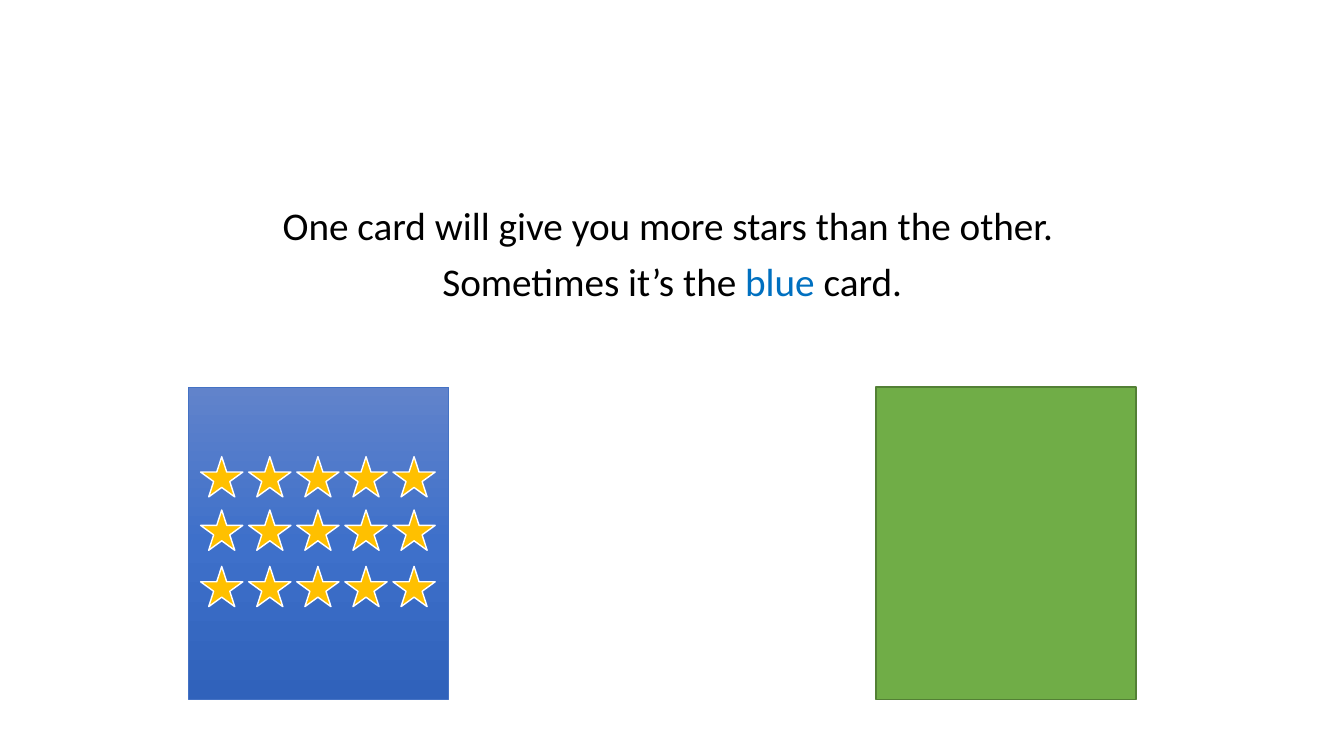
from copy import deepcopy
from itertools import product

from pptx import Presentation
from pptx.dml.color import RGBColor
from pptx.enum.shapes import MSO_SHAPE
from pptx.enum.text import PP_ALIGN
from pptx.util import Pt

COLORS = {
    "text": "000000",
    "blue word": "0070C0",
    "blue top": "6183CB",
    "blue middle": "3E70CA",
    "blue bottom": "3062BB",
    "blue edge": "4472C4",
    "green": "70AD47",
    "green edge": "538035",
    "star": "FFC000",
    "star edge": "FFFFFF",
}
SENTENCE_FORMAT = {"alignment": PP_ALIGN.CENTER, "line_spacing": 0.9}
FONT_FORMAT = {"name": "Calibri", "size": Pt(28)}

CARD_TOP, CARD_WIDTH, CARD_HEIGHT = 276.5, 185.8, 223.2
BLUE_LEFT, GREEN_LEFT = 134.6, 625.7
STAR_LEFT, STAR_PITCH, STARS_PER_ROW = 143.3, 34.35, 5
STAR_ROW_TOPS = (326.2, 364.3, 404.6)
STAR_WIDTH, STAR_HEIGHT = 30.2, 28.8


def color(name):
    return RGBColor.from_string(COLORS[name])


def apply_format(target, values):
    for attribute, value in values.items():
        setattr(target, attribute, value)


def add_sentences(slide, sentences):
    """Write one centred paragraph per list of (words, color name) pairs."""
    box = slide.shapes.add_textbox(Pt(66.2), Pt(144), Pt(828), Pt(342.7))
    frame = box.text_frame
    frame.word_wrap = True
    for index, sentence in enumerate(sentences):
        paragraph = frame.add_paragraph() if index else frame.paragraphs[0]
        apply_format(paragraph, SENTENCE_FORMAT)
        if index:
            paragraph.space_before = Pt(10)
        for words, color_name in sentence:
            run = paragraph.add_run()
            run.text = words
            apply_format(run.font, FONT_FORMAT)
            run.font.color.rgb = color(color_name)


def add_outlined(slide, kind, left, top, width, height, edge, edge_width):
    outlined = slide.shapes.add_shape(kind, Pt(left), Pt(top), Pt(width), Pt(height))
    outlined.shadow.inherit = False
    outlined.line.color.rgb = color(edge)
    outlined.line.width = Pt(edge_width)
    return outlined


def add_card(slide, left, edge, edge_width):
    return add_outlined(slide, MSO_SHAPE.RECTANGLE, left, CARD_TOP,
                        CARD_WIDTH, CARD_HEIGHT, edge, edge_width)


def fill_solid(shape, name):
    shape.fill.solid()
    shape.fill.fore_color.rgb = color(name)


def fill_downward(shape, names):
    """Spread three colors evenly from top to bottom."""
    shape.fill.gradient()
    shape.fill.gradient_angle = 270
    stop_list = shape.fill._fill._gradFill.gsLst
    stop_list.insert(1, deepcopy(stop_list[0]))
    for index, (stop, name) in enumerate(zip(shape.fill.gradient_stops, names)):
        stop.position = index / (len(names) - 1)
        stop.color.rgb = color(name)


def add_stars(slide):
    for top, column in product(STAR_ROW_TOPS, range(STARS_PER_ROW)):
        star = add_outlined(slide, MSO_SHAPE.STAR_5_POINT,
                            STAR_LEFT + column * STAR_PITCH, top,
                            STAR_WIDTH, STAR_HEIGHT, "star edge", 1)
        fill_solid(star, "star")


def main():
    deck = Presentation()
    deck.slide_width, deck.slide_height = Pt(960), Pt(540)
    slide = deck.slides.add_slide(deck.slide_layouts.get_by_name("Blank"))

    add_sentences(slide, [
        [("One card will give you more stars than the other. ", "text")],
        [("Sometimes it’s the ", "text"), ("blue ", "blue word"), ("card.", "text")],
    ])
    blue_card = add_card(slide, BLUE_LEFT, "blue edge", 0.5)
    fill_downward(blue_card, ("blue top", "blue middle", "blue bottom"))
    green_card = add_card(slide, GREEN_LEFT, "green edge", 1)
    fill_solid(green_card, "green")
    add_stars(slide)

    deck.save("out.pptx")


if __name__ == "__main__":
    main()
